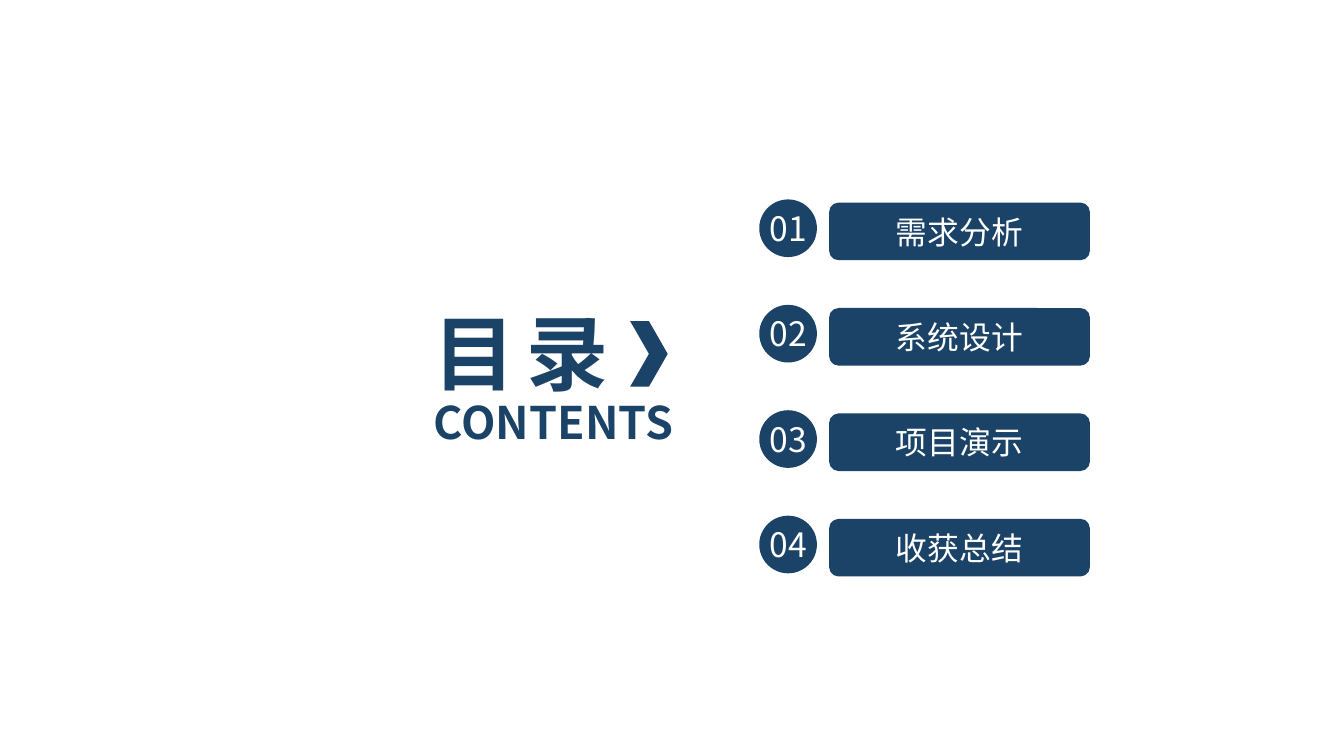
from dataclasses import dataclass

from lxml import etree
from pptx import Presentation
from pptx import util as u
from pptx.dml.color import RGBColor
from pptx.enum import shapes, text
from pptx.oxml import ns


@dataclass(frozen=True)
class Theme:
    """Colours, font and type sizes of the deck."""
    navy: RGBColor = RGBColor(0x1B, 0x43, 0x67)
    white: RGBColor = RGBColor(0xFF, 0xFF, 0xFF)
    font: str = "Noto Sans CJK SC"
    title: int = 44
    subtitle: int = 24
    number: int = 18
    label: int = 17


THEME = Theme()
CHAPTERS = ["需求分析", "系统设计", "项目演示", "收获总结"]


def write(shape, words, size, color, align=text.PP_ALIGN.CENTER, bold=False, spacing=0):
    """Write one styled run, vertically centred in the shape."""
    frame = shape.text_frame
    frame.word_wrap = True
    frame.vertical_anchor = text.MSO_ANCHOR.MIDDLE
    frame.margin_top = frame.margin_bottom = 0
    paragraph = frame.paragraphs[0]
    paragraph.alignment = align
    run = paragraph.add_run()
    run.text = words
    run.font.name = THEME.font
    run.font.size = u.Pt(size)
    run.font.bold = bold
    run.font.color.rgb = color
    properties = run.font._element
    etree.SubElement(properties, ns.qn("a:ea"), typeface=THEME.font)
    if spacing:
        properties.set("spc", str(round(spacing * 100)))


def add_solid(parent, kind, left, top, width, height):
    """Add a flat navy preset shape, measured in centimetres."""
    shape = parent.add_shape(kind, u.Cm(left), u.Cm(top), u.Cm(width), u.Cm(height))
    shape.shadow.inherit = False
    shape.fill.solid()
    shape.fill.fore_color.rgb = THEME.navy
    shape.line.fill.background()
    return shape


def add_text(parent, left, top, width, height, words, size, color, **style):
    """Add a text box, measured in centimetres."""
    box = parent.add_textbox(u.Cm(left), u.Cm(top), u.Cm(width), u.Cm(height))
    write(box, words, size, color, **style)


def add_heading(slide, left, top, width):
    """Place the bilingual heading and its chevron."""
    style = {"align": text.PP_ALIGN.LEFT, "bold": True}
    add_text(slide.shapes, left, top, width, 2.13, "目 录",
             THEME.title, THEME.navy, spacing=-2.2, **style)
    add_text(slide.shapes, left, top + 1.74, width, 1.27, "CONTENTS",
             THEME.subtitle, THEME.navy, **style)
    add_solid(slide.shapes, shapes.MSO_SHAPE.CHEVRON, left + 3.96, top + 0.48, 0.71, 1.24)


def add_chapter(slide, left, top, width, number, label):
    """Place one numbered badge and its chapter bar."""
    size = 1.09
    bar_left = left + 1.32
    bar = add_solid(slide.shapes, shapes.MSO_SHAPE.ROUNDED_RECTANGLE,
                    bar_left, top + 0.06, left + width - bar_left, size)
    write(bar, label, THEME.label, THEME.white)
    badge = slide.shapes.add_group_shape()
    add_solid(badge.shapes, shapes.MSO_SHAPE.OVAL, left, top, size, size)
    add_text(badge.shapes, left - 0.11, top + 0.03, 1.32, 1.02,
             f"{number:02d}", THEME.number, THEME.white)


def add_chapters(slide, left, top, width, height):
    """Spread the chapters evenly down the given box."""
    pitch = height / len(CHAPTERS)
    for index, label in enumerate(CHAPTERS):
        add_chapter(slide, left, top + index * pitch, width, index + 1, label)


def main():
    """Build and save the contents slide."""
    presentation = Presentation()
    presentation.slide_width = u.Cm(25.4)
    presentation.slide_height = u.Cm(14.29)
    slide = presentation.slides.add_slide(presentation.slide_layouts[6])
    add_heading(slide, 7.95, 5.59, 5.92)
    add_chapters(slide, 14.35, 3.77, 6.25, 7.97)
    presentation.save("out.pptx")


if __name__ == "__main__":
    main()
